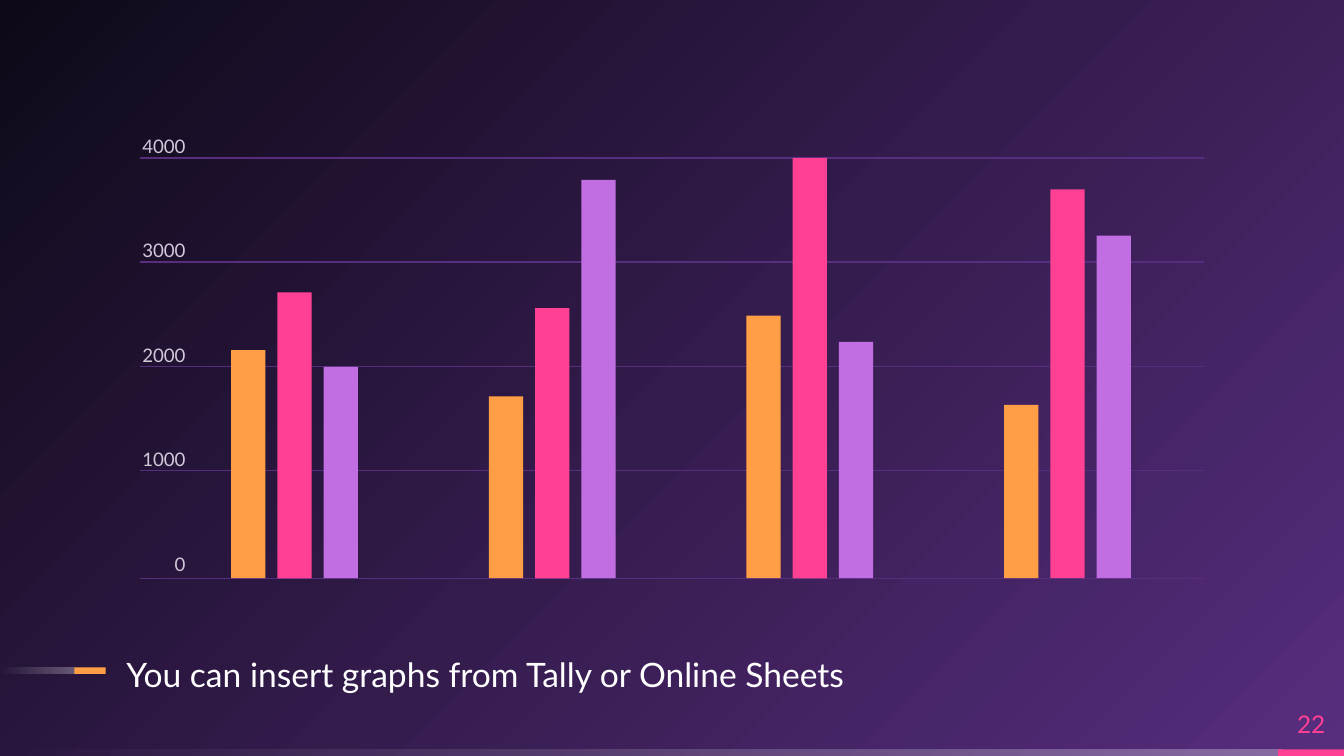
from dataclasses import dataclass

from lxml import etree
from pptx import Presentation
from pptx import util as u
from pptx.dml.color import RGBColor
from pptx.enum import shapes, text
from pptx.oxml import ns


@dataclass(frozen=True)
class Theme:
    font: str = "Lato"
    white: str = "FFFFFF"
    purple: str = "572D7E"
    night: str = "0E0918"
    pink: str = "FF4093"
    orange: str = "FF9E44"
    lilac: str = "C06EE2"
    label: str = "D1C8DA"
    caption_size: int = 18
    number_size: int = 13
    label_size: int = 10
    grid_line: float = 0.75


THEME = Theme()
WIDTH, HEIGHT = u.Pt(720), u.Pt(405)
UNIT = WIDTH / 100

AXIS_LEFT, AXIS_RIGHT = 10.4, 89.6
AXIS_TOP, AXIS_BASE = 11.75, 43.03
AXIS_MAX = 4000
GRID_ROWS = [AXIS_TOP + 7.76 * step for step in range(4)] + [AXIS_BASE]
TICKS = ["4000", "3000", "2000", "1000", "0"]
FIRST_BAR, GROUP_STEP, BAR_STEP, BAR_WIDTH = 17.2, 19.17, 3.44, 2.56
GROUPS = [
    (2170, 2720, 2010),
    (1730, 2570, 3790),
    (2500, 4000, 2250),
    (1650, 3700, 3260),
]


def grid(*cells):
    return [u.Emu(round(cell * UNIT)) for cell in cells]


def color(value):
    return RGBColor.from_string(value)


def set_stops(fill, colors):
    fill.gradient()
    for stop, value in zip(fill.gradient_stops, colors):
        stop.color.rgb = color(value)


def paint_background(slide):
    set_stops(slide.background.fill, (THEME.purple, THEME.night))
    gradient = slide.element.find(".//" + ns.qn("a:gradFill"))
    linear = gradient.find(ns.qn("a:lin"))
    radial = etree.Element(ns.qn("a:path"), path="circle")
    etree.SubElement(radial, ns.qn("a:fillToRect"), l="100000", t="100000")
    gradient.replace(linear, radial)


def add_bar(slide, left, top, width, height, fill):
    shape = slide.shapes.add_shape(
        shapes.MSO_SHAPE.RECTANGLE, *grid(left, top, width, height)
    )
    shape.shadow.inherit = False
    shape.line.fill.background()
    shape.fill.solid()
    shape.fill.fore_color.rgb = color(fill)
    return shape


def add_fading_bar(slide, left, top, width, height):
    shape = add_bar(slide, left, top, width, height, THEME.white)
    set_stops(shape.fill, (THEME.white, THEME.white))
    shape.fill.gradient_angle = 180
    stops = shape.element.spPr.iter(ns.qn("a:srgbClr"))
    for stop, opacity in zip(stops, ("30000", "0")):
        etree.SubElement(stop, ns.qn("a:alpha"), val=opacity)


def add_grid_line(slide, row):
    line = slide.shapes.add_connector(
        shapes.MSO_CONNECTOR.STRAIGHT, *grid(AXIS_LEFT, row, AXIS_RIGHT, row)
    )
    line.line.color.rgb = color(THEME.purple)
    line.line.width = u.Pt(THEME.grid_line)
    etree.SubElement(line.element.spPr, ns.qn("a:effectLst"))


def write(shape, content, size, fill, align, anchor=text.MSO_ANCHOR.TOP):
    frame = shape.text_frame
    frame.text = content
    frame.word_wrap = True
    frame.auto_size = text.MSO_AUTO_SIZE.NONE
    frame.vertical_anchor = anchor
    frame.margin_left = frame.margin_right = 0
    frame.margin_top = frame.margin_bottom = 0
    for paragraph in frame.paragraphs:
        paragraph.alignment = align
        for run in paragraph.runs:
            run.font.name = THEME.font
            run.font.size = u.Pt(size)
            run.font.color.rgb = color(fill)
    return frame.paragraphs


def add_caption(slide, content):
    title, body = slide.placeholders
    title.element.getparent().remove(title.element)
    body.left, body.top, body.width, body.height = grid(9.4, 48.2, 81.3, 3.4)
    paragraph = write(
        body, content, THEME.caption_size, THEME.white, text.PP_ALIGN.LEFT
    )[0]
    paragraph.line_spacing = 1.15
    paragraph.space_before = u.Pt(0)
    paragraph.space_after = u.Pt(8)


def add_page_number(slide, number):
    box = slide.shapes.add_textbox(*grid(95.1, 51.95, 4.9, 3.8))
    write(box, number, THEME.number_size, THEME.pink,
          text.PP_ALIGN.CENTER, text.MSO_ANCHOR.MIDDLE)


def add_axis(slide):
    for row in GRID_ROWS:
        add_grid_line(slide, row)
    box = slide.shapes.add_textbox(*grid(AXIS_LEFT, 10, 3.4, 33.1))
    paragraphs = write(box, "\n".join(TICKS), THEME.label_size,
                       THEME.label, text.PP_ALIGN.RIGHT)
    for paragraph in paragraphs[1:]:
        paragraph.space_before = u.Pt(44)
    paragraphs[-1].space_after = u.Pt(44)


def add_columns(slide):
    fills = (THEME.orange, THEME.pink, THEME.lilac)
    for group, values in enumerate(GROUPS):
        for position, (value, fill) in enumerate(zip(values, fills)):
            left = FIRST_BAR + group * GROUP_STEP + position * BAR_STEP
            height = value / AXIS_MAX * (AXIS_BASE - AXIS_TOP)
            add_bar(slide, left, AXIS_BASE - height, BAR_WIDTH, height, fill)


def main():
    presentation = Presentation()
    presentation.slide_width, presentation.slide_height = WIDTH, HEIGHT
    slide = presentation.slides.add_slide(
        presentation.slide_layouts.get_by_name("Section Header")
    )
    paint_background(slide)
    add_fading_bar(slide, 0, 55.75, 95.4, 0.5)
    add_bar(slide, 95.1, 55.75, 4.9, 0.5, THEME.pink)
    add_fading_bar(slide, 0, 49.65, 5.55, 0.5)
    add_bar(slide, 5.53, 49.65, 2.33, 0.5, THEME.orange)
    add_caption(slide, "You can insert graphs from Tally or Online Sheets")
    add_page_number(slide, "22")
    add_axis(slide)
    add_columns(slide)
    presentation.save("out.pptx")


if __name__ == "__main__":
    main()
